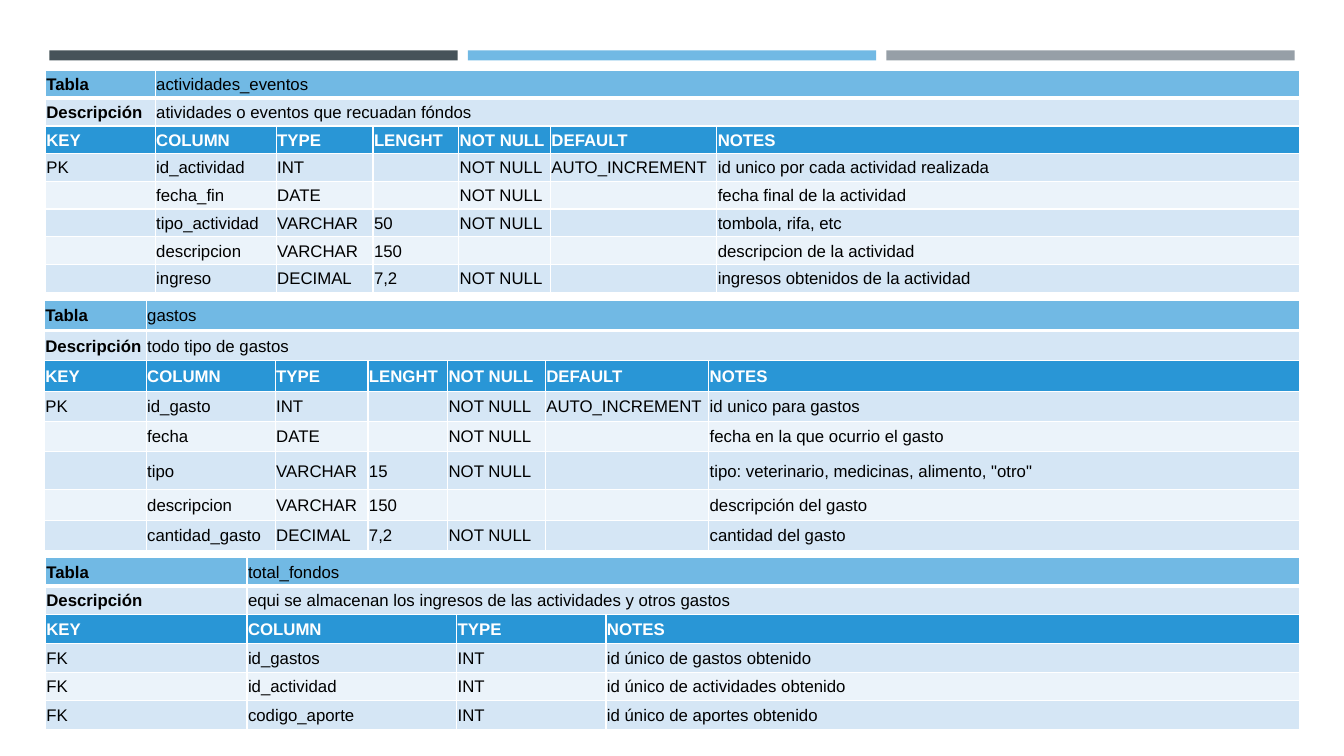
import pptx
import pptx.util
import pptx.dml.color
import pptx.enum.shapes
import pptx.enum.text
import pptx.oxml.ns
from lxml import etree

Inches = pptx.util.Inches
Pt = pptx.util.Pt
RGBColor = pptx.dml.color.RGBColor
qn = pptx.oxml.ns.qn

BLACK = RGBColor(0x00, 0x00, 0x00)
WHITE = RGBColor(0xFF, 0xFF, 0xFF)
SLATE = RGBColor(0x46, 0x53, 0x59)
SKY = RGBColor(0x71, 0xB9, 0xE4)
GREY = RGBColor(0x96, 0x9F, 0xA7)
BLUE = RGBColor(0x29, 0x96, 0xD6)
BAND_DARK = RGBColor(0xD5, 0xE6, 0xF5)
BAND_LIGHT = RGBColor(0xEB, 0xF3, 0xFA)

presentation = pptx.Presentation()
presentation.slide_width = Inches(13.33)
presentation.slide_height = Inches(7.5)
slide = presentation.slides.add_slide(presentation.slide_layouts[6])


def add_border(cell, side, points):
    """Draw one white cell edge; side is L, R, T or B."""
    edge = etree.SubElement(cell._tc.get_or_add_tcPr(), qn(f"a:ln{side}"), w=str(Pt(points)))
    fill = etree.SubElement(edge, qn("a:solidFill"))
    etree.SubElement(fill, qn("a:srgbClr"), val=str(WHITE))


def fill_cell(cell, text, row, column):
    """Style a cell by its place in the table and write its text."""
    for side in "LRTB":
        thick = (row, side) in ((0, "B"), (1, "T"))
        add_border(cell, side, 3 if thick else 1)
    cell.fill.solid()
    if row == 0:
        cell.fill.fore_color.rgb = SKY
    elif row == 2:
        cell.fill.fore_color.rgb = BLUE
    else:
        cell.fill.fore_color.rgb = BAND_DARK if row % 2 else BAND_LIGHT
    cell.margin_left = cell.margin_right = cell.margin_top = Inches(0.01)
    cell.margin_bottom = 0
    cell.vertical_anchor = pptx.enum.text.MSO_ANCHOR.MIDDLE
    paragraph = cell.text_frame.paragraphs[0]
    if text:
        run = paragraph.add_run()
        run.text = text
        run.font.name = "Arial"
        run.font.size = Pt(12)
        run.font.bold = row == 2 or (row < 2 and column == 0)
        run.font.color.rgb = WHITE if row == 2 else BLACK
    else:
        # Keeps empty cells from stretching their row
        etree.SubElement(paragraph._p, qn("a:endParaRPr"), sz="1200")


# Bars along the top
for index, bar_color in enumerate((SLATE, SKY, GREY)):
    bar = slide.shapes.add_shape(
        pptx.enum.shapes.MSO_SHAPE.RECTANGLE,
        Inches(0.49 + 4.15 * index), Inches(0.5), Inches(4.05), Inches(0.1))
    bar.shadow.inherit = False
    bar.fill.solid()
    bar.fill.fore_color.rgb = bar_color
    bar.line.fill.background()

# Content of the three table definitions
full_header = ["KEY", "COLUMN", "TYPE", "LENGHT", "NOT NULL", "DEFAULT", "NOTES"]

actividades = [
    ["Tabla", "actividades_eventos"],
    ["Descripción", "atividades o eventos que recuadan fóndos"],
    full_header,
    ["PK", "id_actividad", "INT", "", "NOT NULL", "AUTO_INCREMENT",
     "id unico por cada actividad realizada"],
    ["", "fecha_fin", "DATE", "", "NOT NULL", "", "fecha final de la actividad"],
    ["", "tipo_actividad", "VARCHAR", "50", "NOT NULL", "", "tombola, rifa, etc"],
    ["", "descripcion", "VARCHAR", "150", "", "", "descripcion de la actividad"],
    ["", "ingreso", "DECIMAL", "7,2", "NOT NULL", "", "ingresos obtenidos de la actividad"],
]

gastos = [
    ["Tabla", "gastos"],
    ["Descripción", "todo tipo de gastos"],
    full_header,
    ["PK", "id_gasto", "INT", "", "NOT NULL", "AUTO_INCREMENT", "id unico para gastos"],
    ["", "fecha", "DATE", "", "NOT NULL", "", "fecha en la que ocurrio el gasto"],
    ["", "tipo", "VARCHAR", "15", "NOT NULL", "",
     'tipo: veterinario, medicinas, alimento, "otro"'],
    ["", "descripcion", "VARCHAR", "150", "", "", "descripción del gasto"],
    ["", "cantidad_gasto", "DECIMAL", "7,2", "NOT NULL", "", "cantidad del gasto"],
]

total_fondos = [
    ["Tabla", "total_fondos"],
    ["Descripción", "equi se almacenan los ingresos de las actividades y otros gastos"],
    ["KEY", "COLUMN", "TYPE", "NOTES"],
    ["FK", "id_gastos", "INT", "id único de gastos obtenido"],
    ["FK", "id_actividad", "INT", "id único de actividades obtenido"],
    ["FK", "codigo_aporte", "INT", "id único de aportes obtenido"],
]

# Left, top, column widths, row heights and content of each table
definitions = [
    (0.45, 0.7, [1.09, 1.2, 0.96, 0.85, 0.91, 1.65, 5.78], [2.2 / 8] * 8, actividades),
    (0.44, 2.98, [1.01, 1.28, 0.92, 0.79, 0.97, 1.62, 5.86],
     [0.3] * 5 + [0.38] + [0.3] * 2, gastos),
    (0.45, 5.53, [2, 2.08, 1.48, 6.88], [1.71 / 6] * 6, total_fondos),
]

# Tables
for left, top, widths, heights, content in definitions:
    table = slide.shapes.add_table(
        len(heights), len(widths), Inches(left), Inches(top),
        Inches(sum(widths)), Inches(sum(heights))).table
    for column, width in enumerate(widths):
        table.columns[column].width = Inches(width)
    for row, height in enumerate(heights):
        table.rows[row].height = Inches(height)
        texts = content[row] + [""] * (len(widths) - len(content[row]))
        for column, text in enumerate(texts):
            fill_cell(table.cell(row, column), text, row, column)
    # Name and description run across the remaining columns
    for row in range(2):
        table.cell(row, 1).merge(table.cell(row, len(widths) - 1))

presentation.save("out.pptx")
